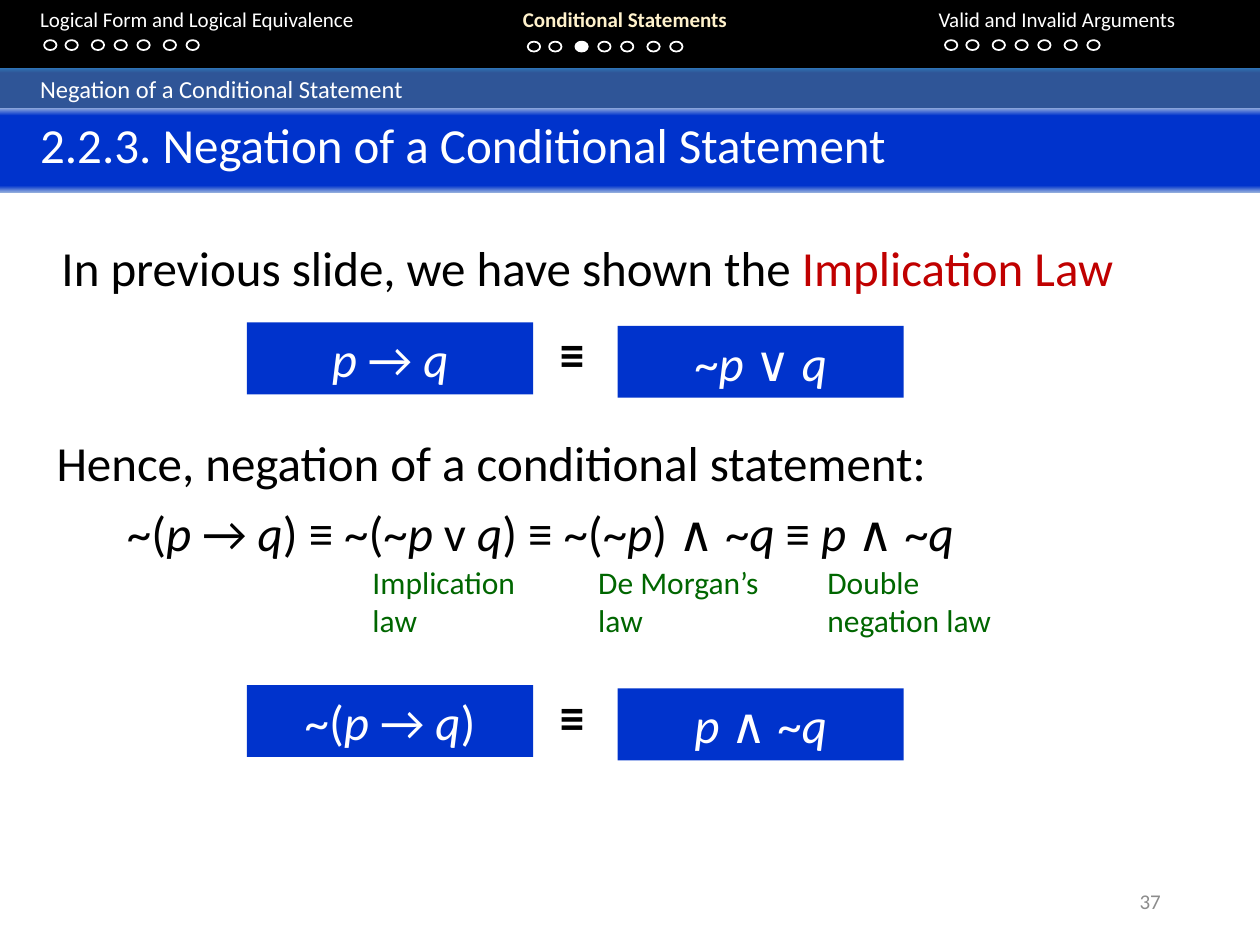
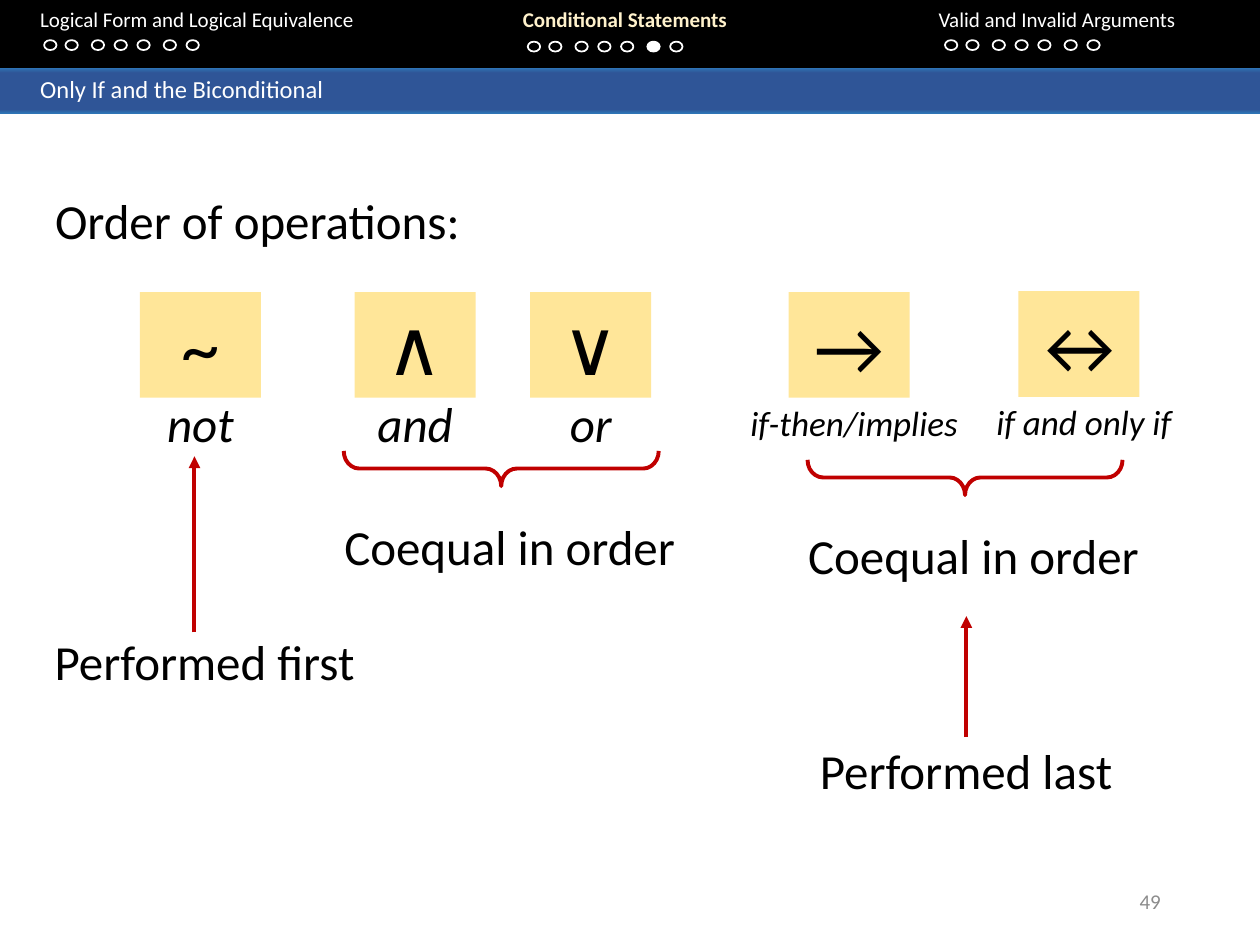
import pptx
import pptx.util
import pptx.dml.color
import pptx.enum.shapes
import pptx.enum.text
import pptx.oxml
import pptx.oxml.ns
from lxml import etree

Cm = pptx.util.Cm
SHAPE = pptx.enum.shapes.MSO_SHAPE
ALIGN = pptx.enum.text.PP_ALIGN
ANCHOR = pptx.enum.text.MSO_ANCHOR
qn = pptx.oxml.ns.qn

# Shared look; lengths are centimetres
WIDTH, HEIGHT = 25.4, 19.05
BLACK, WHITE, BLUE = "000000", "FFFFFF", "0033CC"
RED, GREEN, GOLD, CREAM, GREY = "C00000", "006600", "FFE699", "FFF2CC", "8C8C8C"
SECTION_STOPS = [(0, "2E75B6"), (11, "2F5597"), (91, "2F5597"), (100, "2E75B6")]
TITLE_STOPS = [(0, "8FAADC"), (9, BLUE), (92, BLUE), (100, "8FAADC")]
BAND_INSET = 0.81
LINE_HEIGHT = 1.45
CHAPTERS = ["Logical Form and Logical Equivalence", "Conditional Statements",
            "Valid and Invalid Arguments"]
CHAPTER_TABS = [9.73, 18.11]
CURRENT_CHAPTER = 1
DOT_ROWS = [(0.89, 0.81), (10.64, 0.84), (19.05, 0.81)]
DOT_OFFSETS = [0, 0.43, 0.96, 1.42, 1.88, 2.41, 2.87]


def colour(value):
    return pptx.dml.color.RGBColor.from_string(value)


def place(box):
    return [Cm(length) for length in box]


def formula(text):
    """Turn text with *italic* parts into runs."""
    return [(part, {"italic": index % 2 == 1})
            for index, part in enumerate(text.split("*")) if part]


def write(shape, runs, size=28, hue=BLACK, align=ALIGN.LEFT, anchor=ANCHOR.TOP,
          inset=0.25):
    frame = shape.text_frame
    settings = {"word_wrap": True, "vertical_anchor": anchor, "margin_left": Cm(inset)}
    for name, value in settings.items():
        setattr(frame, name, value)
    para = frame.paragraphs[0]
    para.alignment = align
    for text, changes in runs:
        span = para.add_run()
        span.text = text
        look = {"name": "Calibri", "size": pptx.util.Pt(size), "hue": hue, **changes}
        span.font.color.rgb = colour(look.pop("hue"))
        for name, value in look.items():
            setattr(span.font, name, value)
    return para


def add_text(page, box, runs, **look):
    shape = page.shapes.add_textbox(*place(box))
    write(shape, runs, **look)
    return shape


def add_block(page, kind, box, fill=None, line=None, weight=1):
    shape = page.shapes.add_shape(kind, *place(box))
    shape.shadow.inherit = False
    if fill:
        shape.fill.solid()
        shape.fill.fore_color.rgb = colour(fill)
    else:
        shape.fill.background()
    if line:
        shape.line.color.rgb = colour(line)
        shape.line.width = pptx.util.Pt(weight)
    else:
        shape.line.fill.background()
    return shape


def add_band(page, box, stops, text, size):
    """Gradient strip across the slide with its heading."""
    band = add_block(page, SHAPE.RECTANGLE, box)
    band.fill.gradient()
    band.fill.gradient_angle = 270
    stop_list = next(band.element.iter(qn("a:gsLst")))
    for old in list(stop_list):
        stop_list.remove(old)
    for percent, hue in stops:
        stop = etree.SubElement(stop_list, qn("a:gs"), pos=str(percent * 1000))
        etree.SubElement(stop, qn("a:srgbClr"), val=hue)
    write(band, [(text, {})], size=size, hue=WHITE, inset=BAND_INSET)


def add_navigation(page, box, current_dot):
    """Black strip with chapter names and progress dots."""
    left, top, width, height = box
    add_block(page, SHAPE.RECTANGLE, box, BLACK)
    runs = []
    for index, chapter in enumerate(CHAPTERS):
        active = index == CURRENT_CHAPTER
        look = {"bold": active, "hue": CREAM if active else WHITE}
        runs.append(("\t" * (index > 0) + chapter, look))
    names = add_text(page, (left, top, width, 1.27), runs, size=12, inset=BAND_INSET)
    tabs = etree.SubElement(names.text_frame.paragraphs[0]._p.get_or_add_pPr(),
                            qn("a:tabLst"))
    for stop in CHAPTER_TABS:
        etree.SubElement(tabs, qn("a:tab"), pos=str(int(Cm(stop))), algn="l")
    for row, (row_left, row_top) in enumerate(DOT_ROWS):
        for index, offset in enumerate(DOT_OFFSETS):
            filled = (row, index) == (CURRENT_CHAPTER, current_dot)
            add_block(page, SHAPE.OVAL, (left + row_left + offset, top + row_top, 0.25, 0.2),
                      WHITE if filled else None, WHITE)


def add_page(deck, section, current_dot, number):
    page = deck.slides.add_slide(deck.slide_layouts[6])
    add_navigation(page, (0, 0, WIDTH, 1.37), current_dot)
    add_band(page, (0, 1.37, WIDTH, 0.92), SECTION_STOPS, section, 14)
    add_text(page, (17.93, 17.65, 5.72, 1.02), [(str(number), {})], size=12,
             hue=GREY, align=ALIGN.RIGHT, anchor=ANCHOR.MIDDLE)
    return page


def add_equivalence(page, left, top, first, second):
    """Two blue formula boxes joined by an equivalence sign."""
    for shift, drop, text in [(7.47, 0.07, second), (0, 0, first)]:
        block = add_block(page, SHAPE.RECTANGLE,
                          (left + shift, top + drop, 5.77, LINE_HEIGHT), BLUE)
        write(block, formula(text), hue=WHITE, align=ALIGN.CENTER)
    add_text(page, (left + 5.46, top - 0.1, 2.18, LINE_HEIGHT),
             [("≡", {"bold": True})], align=ALIGN.CENTER)


def add_operator(page, left, top, symbol, name, size=28, width=2.44, drop=1.91, shift=0):
    """Symbol tile with its reading centred underneath."""
    tile = add_block(page, SHAPE.RECTANGLE, (left, top, 2.44, 2.13), GOLD)
    write(tile, [(symbol, {})], size=44, align=ALIGN.CENTER)
    label_left = left + (2.44 - width) / 2 + shift
    add_text(page, (label_left, top + drop, width, LINE_HEIGHT if size == 28 else 1.11),
             [(name, {"italic": True})], size=size, align=ALIGN.CENTER)


def add_coequal(page, left, top):
    """Brace under a pair of operators with its caption."""
    span, depth = 6.35, 0.71
    brace = add_block(page, SHAPE.LEFT_BRACE,
                      (left + (span - depth) / 2, top + (depth - span) / 2, depth, span),
                      line=RED, weight=2.25)
    brace.rotation = 270
    brace.adjustments[0] = 0.44
    add_text(page, (left - 0.48, top + 1.19, 7.65, LINE_HEIGHT),
             [("Coequal in order", {})], align=ALIGN.CENTER)


def add_rank(page, left, top, text, arrow_x, arrow_bottom, arrow_top):
    """Caption with an arrow pointing up from it."""
    add_text(page, (left, top, 7.65, LINE_HEIGHT), [(text, {})], align=ALIGN.CENTER)
    arrow = page.shapes.add_connector(
        pptx.enum.shapes.MSO_CONNECTOR.STRAIGHT,
        *place((left + arrow_x, top + arrow_bottom, left + arrow_x, top + arrow_top)))
    arrow.line.color.rgb = colour(RED)
    arrow.line.width = pptx.util.Pt(2.25)
    etree.SubElement(arrow.line._get_or_add_ln(), qn("a:tailEnd"), type="triangle")
    etree.SubElement(arrow.element.spPr, qn("a:effectLst"))


def build_negation(deck):
    page = add_page(deck, "Negation of a Conditional Statement", 2, 37)
    add_band(page, (0, 2.18, WIDTH, 1.7), TITLE_STOPS,
             "2.2.3. Negation of a Conditional Statement", 28)
    # Known law
    add_text(page, (0.99, 4.67, 22.66, LINE_HEIGHT),
             [("In previous slide, we have shown the ", {}),
              ("Implication Law", {"hue": RED})])
    add_equivalence(page, 4.98, 6.5, "*p *→ *q*", "~*p *∨ *q*")
    # Derivation, with the law used at each step
    add_text(page, (0.89, 8.59, 22.66, LINE_HEIGHT),
             [("Hence, negation of a conditional statement:", {})])
    add_text(page, (2.31, 10.01, 21.39, LINE_HEIGHT),
             formula("~(*p *→ *q*) ≡ ~(~*p* v *q*) ≡ ~(~*p*) ∧ ~*q* ≡ *p* ∧ ~*q*"))
    for left, width, law in [(7.26, 3.66, "Implication law"),
                             (11.81, 4.04, "De Morgan’s law"),
                             (16.43, 4.04, "Double negation law")]:
        add_text(page, (left, 11.23, width, 1.8), [(law, {})], size=18, hue=GREEN)
    # Result
    add_equivalence(page, 4.98, 13.81, "~(*p *→ *q*)", "*p *∧ ~*q*")


def build_operations(deck):
    page = add_page(deck, "Only If and the Biconditional", 5, 49)
    add_text(page, (0.86, 3.71, 10.85, LINE_HEIGHT), [("Order of operations:", {})])
    # Operators in order of precedence
    for left, symbol, name in [(2.82, "~", "not"), (7.15, "∧", "and"), (10.69, "∨", "or")]:
        add_operator(page, left, 5.89, symbol, name)
    for left, top, symbol, name in [(15.9, 5.89, "→", "if-then/implies"),
                                    (20.53, 5.87, "↔", "if and only if")]:
        add_operator(page, left, top, symbol, name, size=20, width=4.78, drop=2.08, shift=0.1)
    # Ranking
    add_coequal(page, 6.93, 9.09)
    add_coequal(page, 16.28, 9.27)
    add_rank(page, 0.3, 12.6, "Performed first", 3.62, 0.15, -3.4)
    add_rank(page, 15.65, 14.81, "Performed last", 3.83, 0.05, -2.39)


deck = pptx.Presentation()
deck.slide_width, deck.slide_height = place((WIDTH, HEIGHT))
build_negation(deck)
build_operations(deck)
deck.save("out.pptx")
